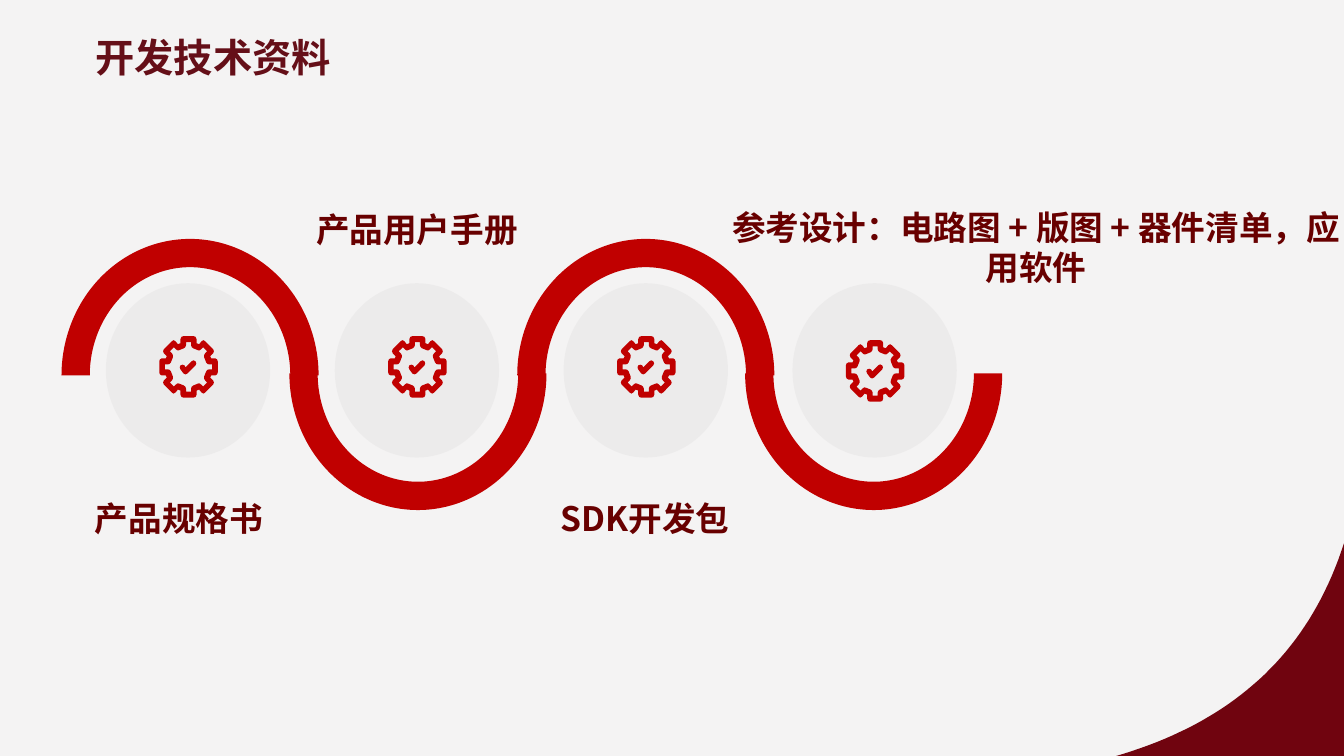
"""Build the slide of development materials: a winding band with four gear stations."""
from lxml.etree import SubElement
from pptx import Presentation
from pptx.dml.color import RGBColor
from pptx.enum.shapes import MSO_SHAPE
from pptx.enum.text import MSO_AUTO_SIZE, PP_ALIGN
from pptx.oxml.ns import qn
from pptx.util import Inches, Pt

PAPER = RGBColor(0xF4, 0xF3, 0xF3)
TITLE = RGBColor(0x65, 0x0F, 0x18)
CORNER = RGBColor(0x70, 0x04, 0x0F)
BAND = RGBColor(0xC0, 0x00, 0x00)
DISC = RGBColor(0xD0, 0xCE, 0xCE)
LABEL = RGBColor(0x68, 0x00, 0x00)
MIL = Inches(1) / 1000

deck = Presentation()
deck.slide_width, deck.slide_height = Inches(13.33), Inches(7.5)
page = deck.slides.add_slide(deck.slide_layouts[6])
page.background.fill.solid()
page.background.fill.fore_color.rgb = PAPER


def paint(shape, color):
    shape.shadow.inherit = False
    shape.fill.solid()
    shape.fill.fore_color.rgb = color
    shape.line.fill.background()


def write(text, left, top, width, height, size=24, font="Noto Sans CJK SC",
          color=LABEL, align=PP_ALIGN.CENTER):
    box = page.shapes.add_textbox(Inches(left), Inches(top), Inches(width), Inches(height))
    box.text_frame.word_wrap = True
    box.text_frame.auto_size = MSO_AUTO_SIZE.SHAPE_TO_FIT_TEXT
    para = box.text_frame.paragraphs[0]
    para.alignment = align
    span = para.add_run()
    span.text = text
    span.font.size, span.font.bold, span.font.name = Pt(size), True, font
    span.font.color.rgb = color
    SubElement(span.font._element, qn("a:ea")).set("typeface", font)


write("开发技术资料", 0.85, 0.28, 6.28, 0.57, size=28, font="Noto Sans CJK JP",
      color=TITLE, align=PP_ALIGN.LEFT)

curve = [(13330, 5390), (12970, 6510), (12200, 7170), (11070, 7500)]
corner = page.shapes.build_freeform(13330, 7500, scale=MIL)
steps = 40
for step in range(steps + 1):
    t = step / steps
    weights = [(1 - t) ** 3, 3 * t * (1 - t) ** 2, 3 * t ** 2 * (1 - t), t ** 3]
    point = [sum(w * p[axis] for w, p in zip(weights, curve)) for axis in (0, 1)]
    corner.add_line_segments([point], close=step == steps)
paint(corner.convert_to_shape(), CORNER)

for index in range(4):
    lower = index % 2
    arc = page.shapes.add_shape(MSO_SHAPE.BLOCK_ARC, Inches(0.61 + 2.26 * index),
                                Inches(2.35 if lower else 2.37), Inches(2.55), Inches(2.71))
    for place, value in enumerate((108, 0, 0.11)):
        arc.adjustments[place] = value
    if lower:
        arc._element.spPr.get_or_add_xfrm().set("flipV", "1")
    paint(arc, BAND)

outer_quarter = [(50, -305), (70, -298), (80, -275), (80, -235), (105, -225), (130, -255),
                 (148, -265), (165, -255), (245, -175), (252, -155), (245, -135), (215, -105),
                 (225, -85), (265, -85), (283, -75), (290, -55)]
inner_quarter = [(25, -245), (25, -215), (32, -197), (45, -185), (95, -165), (110, -164),
                 (125, -175), (145, -195), (185, -155), (165, -135), (154, -115), (155, -95),
                 (175, -45), (188, -29), (205, -25), (235, -25)]
tick = [(50, -65), (70, -55), (77, -35), (70, -15), (-10, 65), (-30, 75), (-50, 65),
        (-80, 25), (-87, 5), (-80, -15), (-60, -22), (-40, -15), (-30, 5), (30, -55)]
rings = [[(x * right, y * up) for right, up, order in ((1, 1, 1), (1, -1, -1), (-1, -1, 1), (-1, 1, -1))
          for x, y in quarter[::order]] for quarter in (outer_quarter, inner_quarter)]

for index in range(4):
    disc = page.shapes.add_shape(MSO_SHAPE.OVAL, Inches(1.05 + 2.27 * index), Inches(2.81),
                                 Inches(1.63), Inches(1.73))
    paint(disc, DISC)
    tint = disc._element.spPr.find(qn("a:solidFill"))[0]
    SubElement(tint, qn("a:alpha")).set("val", "20000")

for index, middle in enumerate((3.64, 3.64, 3.64, 3.68)):
    gear = page.shapes.build_freeform(*rings[0][0], scale=MIL)
    gear.add_line_segments(rings[0][1:])
    for outline in (rings[1], tick):
        gear.move_to(*outline[0])
        gear.add_line_segments(outline[1:])
    paint(gear.convert_to_shape(Inches(1.87 + 2.27 * index), Inches(middle)), BAND)

for text, left, top, width, height in (
        ("产品规格书", -0.12, 4.89, 3.79, 0.5),
        ("SDK开发包", 4.5, 4.89, 3.79, 0.5),
        ("产品用户手册", 2.24, 2.02, 3.79, 0.5),
        ("参考设计：电路图 + 版图 + 器件清单，应用软件", 7.1, 2, 6.35, 0.91)):
    write(text, left, top, width, height)

deck.save("out.pptx")
